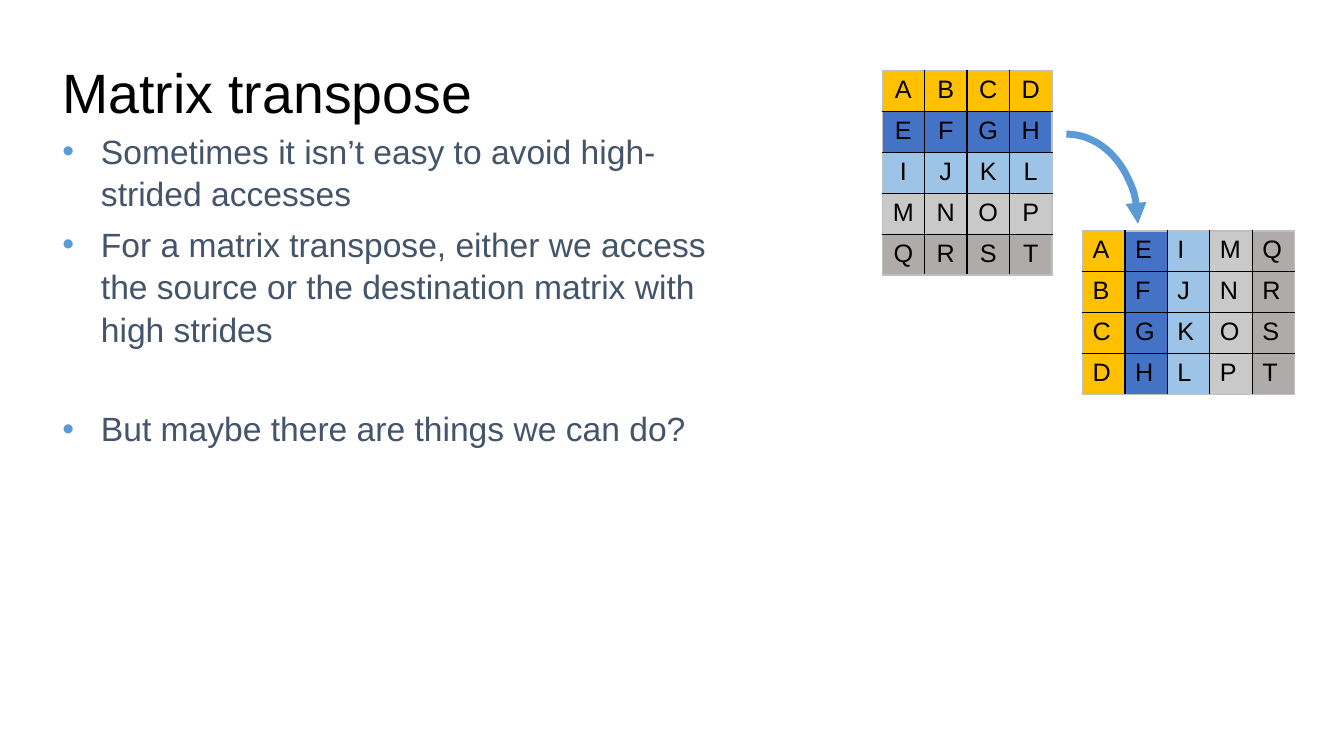
from dataclasses import dataclass

from lxml import etree
from pptx import Presentation
from pptx.dml.color import RGBColor
from pptx.enum.shapes import MSO_SHAPE
from pptx.enum.text import MSO_ANCHOR, MSO_AUTO_SIZE, PP_ALIGN
from pptx.oxml.ns import qn
from pptx.util import Cm, Pt

ARC = MSO_SHAPE.ARC
BOTTOM, TOP = MSO_ANCHOR.BOTTOM, MSO_ANCHOR.TOP
LEFT, CENTER = PP_ALIGN.LEFT, PP_ALIGN.CENTER
NO_AUTOFIT = MSO_AUTO_SIZE.NONE

TITLE = "Matrix transpose"
# Each bullet with its space before, in points
BULLETS = [
    ("Sometimes it isn’t easy to avoid high-strided accesses", 6),
    ("For a matrix transpose, either we access the source or the destination "
     "matrix with high strides", 6),
    ("But maybe there are things we can do?", 41),
]
# Each source row with its colour
MATRIX = [
    ("ABCD", "FFC000"),
    ("EFGH", "4472C4"),
    ("IJKL", "9DC3E6"),
    ("MNOP", "C9C9C9"),
    ("QRST", "AFABAB"),
]


@dataclass(frozen=True)
class Theme:
    font: str = "Arial"
    black: str = "000000"
    body: str = "44546A"
    accent: str = "5B9BD5"
    frame: str = "BFBFBF"
    title_size: float = 39.6
    body_size: float = 24
    cell_size: float = 18
    border: float = 1
    arrow: float = 5


THEME = Theme()
CELL_WIDTH, CELL_HEIGHT = Cm(1.07), Cm(1.03)
HANGING = Cm(0.97)


def style_runs(para, size, color):
    for span in para.runs:
        span.font.name = THEME.font
        span.font.size = Pt(size)
        span.font.color.rgb = RGBColor.from_string(color)


def place(box, left, top, width, height):
    box.left, box.top, box.width, box.height = map(Cm, (left, top, width, height))


def add_bullet(para):
    properties = para._p.get_or_add_pPr()
    properties.set("marL", str(HANGING))
    properties.set("indent", str(-HANGING))
    color = etree.SubElement(properties, qn("a:buClr"))
    etree.SubElement(color, qn("a:srgbClr"), val=THEME.accent)
    etree.SubElement(properties, qn("a:buFont"), typeface=THEME.font)
    etree.SubElement(properties, qn("a:buChar"), char="•")


def add_border(cell, side, color):
    """Draw one side (L, R, T or B) of a cell; call before filling the cell."""
    line = etree.SubElement(cell._tc.get_or_add_tcPr(), qn(f"a:ln{side}"),
                            w=str(Pt(THEME.border)))
    fill = etree.SubElement(line, qn("a:solidFill"))
    etree.SubElement(fill, qn("a:srgbClr"), val=color)


def add_matrix(page, grid, left, top, alignment):
    """Draw a grid of (letter, fill colour) pairs as a table."""
    rows, columns = len(grid), len(grid[0])
    table = page.shapes.add_table(rows, columns, Cm(left), Cm(top),
                                  CELL_WIDTH * columns, CELL_HEIGHT * rows).table
    table.first_row = table.horz_banding = False
    for column in table.columns:
        column.width = CELL_WIDTH
    for r, row in enumerate(grid):
        table.rows[r].height = CELL_HEIGHT
        for c, (letter, color) in enumerate(row):
            cell = table.cell(r, c)
            outer = {"L": c == 0, "R": c == columns - 1,
                     "T": r == 0, "B": r == rows - 1}
            for side, is_outer in outer.items():
                add_border(cell, side, THEME.frame if is_outer else THEME.black)
            cell.fill.solid()
            cell.fill.fore_color.rgb = RGBColor.from_string(color)
            para = cell.text_frame.paragraphs[0]
            para.text = letter
            para.alignment = alignment
            style_runs(para, THEME.cell_size, THEME.black)


def add_title(page):
    box = page.shapes.title
    place(box, 1.32, 1.32, 31.19, 1.83)
    frame = box.text_frame
    frame.text = TITLE
    frame.auto_size = NO_AUTOFIT
    frame.vertical_anchor = BOTTOM
    frame.margin_bottom = 0
    frame.paragraphs[0].alignment = LEFT
    style_runs(frame.paragraphs[0], THEME.title_size, THEME.black)


def add_body(page):
    box = page.placeholders[1]
    place(box, 1.32, 3.25, 17.88, 13.74)
    frame = box.text_frame
    frame.text = "\n".join(text for text, _ in BULLETS)
    frame.auto_size = NO_AUTOFIT
    frame.vertical_anchor = TOP
    frame.margin_top = 0
    for para, (_, space) in zip(frame.paragraphs, BULLETS):
        para.space_before = Pt(space)
        para.line_spacing = 1.05
        add_bullet(para)
        style_runs(para, THEME.body_size, THEME.body)


def add_curved_arrow(page):
    arrow = page.shapes.add_shape(ARC, Cm(25.07), Cm(3.38), Cm(3.61), Cm(4.52))
    arrow.shadow.inherit = False
    arrow.fill.background()
    arrow.line.color.rgb = RGBColor.from_string(THEME.accent)
    arrow.line.width = Pt(THEME.arrow)
    line = arrow.element.spPr.find(qn("a:ln"))
    etree.SubElement(line, qn("a:tailEnd"), type="triangle")


def main():
    deck = Presentation()
    deck.slide_width, deck.slide_height = Cm(33.87), Cm(19.05)
    page = deck.slides.add_slide(deck.slide_layouts[1])
    add_title(page)
    add_body(page)
    source = [[(letter, color) for letter in letters] for letters, color in MATRIX]
    transposed = list(zip(*source))
    add_matrix(page, source, 22.23, 1.78, CENTER)
    add_matrix(page, transposed, 27.28, 5.82, LEFT)
    add_curved_arrow(page)
    deck.save("out.pptx")


if __name__ == "__main__":
    main()
